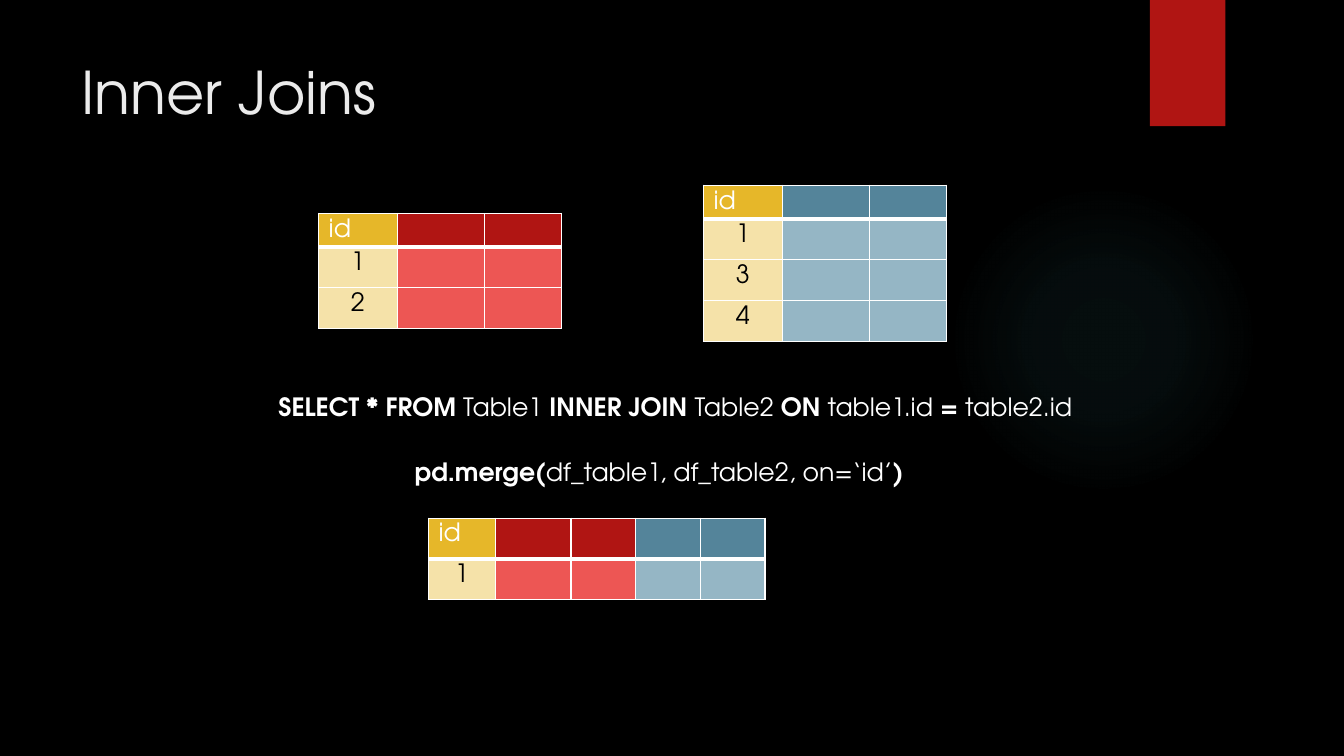
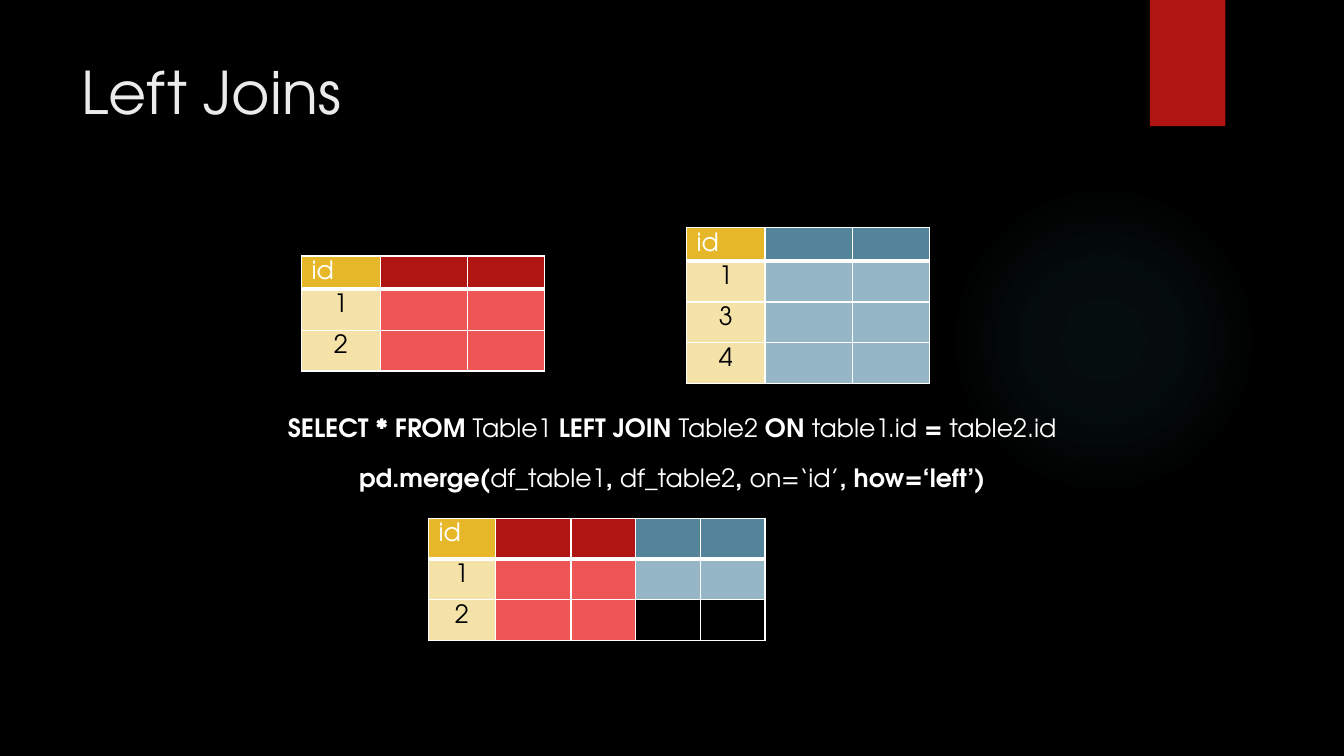
import pptx
import pptx.util
import pptx.dml.color
import pptx.enum.shapes
import pptx.enum.text
import pptx.oxml
import pptx.oxml.ns

Cm = pptx.util.Cm
Pt = pptx.util.Pt
RGB = pptx.dml.color.RGBColor
SHAPE = pptx.enum.shapes.MSO_SHAPE
ALIGN = pptx.enum.text.PP_ALIGN
FIT = pptx.enum.text.MSO_AUTO_SIZE
ANCHOR = pptx.enum.text.MSO_ANCHOR

FONT = "TeX Gyre Adventor"
BLACK = RGB(0x00, 0x00, 0x00)
WHITE = RGB(0xFF, 0xFF, 0xFF)
PALE = RGB(0xEB, 0xEB, 0xEB)
GOLD = RGB(0xE6, 0xB7, 0x29)
CREAM = RGB(0xF5, 0xE2, 0xA9)
RED = RGB(0xB0, 0x15, 0x13)
ROSE = RGB(0xED, 0x56, 0x54)
BLUE = RGB(0x54, 0x84, 0x9A)
SKY = RGB(0x95, 0xB6, 0xC5)
GLOW = RGB(0x50, 0xB9, 0xC1)
STOPS = [(0, 7), (36, 6), (69, 0)]

KEY = (GOLD, CREAM)
LEFT = (RED, ROSE)
RIGHT = (BLUE, SKY)
SIDE = [1.98, 2.21, 1.93]
WIDE = [1.68, 1.91, 1.63, 1.63, 1.63]
BODY = 1.03
GAP = 9.7
RISE = 0.71
JOINED = (10.8, 13.06)

SLIDES = [
    {
        "title": "Inner Joins",
        "start": (8.03, 5.38),
        "rows": ["1"],
        "lone": [],
        "lines": [
            (5.31, 9.73, ["SELECT * FROM", " Table1 ", "INNER JOIN ", "Table2 ",
                          "ON ", "table1.id ", "= ", "table2.id"]),
            (4.9, 11.38, ["pd.merge(", "df_table1, df_table2, on=‘id’", ")"]),
        ],
    },
    {
        "title": "Left Joins",
        "start": (7.6, 6.45),
        "rows": ["1", "2"],
        "lone": ["2"],
        "lines": [
            (5.23, 10.26, ["SELECT * FROM", " Table1 ", "LEFT JOIN ", "Table2 ",
                           "ON ", "table1.id ", "= ", "table2.id"]),
            (5.23, 11.53, ["pd.merge(", "df_table1", ", ", "df_table2", ", ",
                           "on=‘id’", ", how=‘left’)"]),
        ],
    },
]


def add_run(para, text, color, size=18, bold=False):
    run = para.add_run()
    run.text = text
    font = run.font
    font.name, font.size, font.bold = FONT, Pt(size), bold
    font.color.rgb = color


def add_glow(slide):
    glow = slide.shapes.add_shape(SHAPE.OVAL, Cm(23.9), Cm(4.65), Cm(7.82), Cm(7.82))
    stops = "".join(
        f'<a:gs pos="{pos * 1000}"><a:srgbClr val="{GLOW}">'
        f'<a:alpha val="{alpha * 1000}"/></a:srgbClr></a:gs>'
        for pos, alpha in STOPS)
    glow.element.spPr.append(pptx.oxml.parse_xml(
        f'<a:gradFill {pptx.oxml.ns.nsdecls("a")}><a:gsLst>{stops}</a:gsLst>'
        '<a:path path="circle"><a:fillToRect l="50000" t="50000" r="50000" b="50000"/>'
        '</a:path></a:gradFill>'))
    return glow


def add_flag(slide):
    flag = slide.shapes.add_shape(SHAPE.RECTANGLE, Cm(28.98), 0, Cm(1.9), Cm(3.18))
    flag.fill.solid()
    flag.fill.fore_color.rgb = RED
    return flag


def set_theme(layout, slide):
    fill = layout.background.fill
    fill.solid()
    fill.fore_color.rgb = BLACK
    for spot, part in enumerate([add_glow(slide), add_flag(slide)]):
        part.line.fill.background()
        part.shadow.inherit = False
        part.element.nvSpPr.cNvPr.id = 90 + spot
        layout.shapes.element.insert(2 + spot, part.element)


def set_title(slide, text):
    title = slide.shapes.title
    title.left, title.top, title.width, title.height = map(Cm, (1.8, 1.27, 26.14, 3.89))
    frame = title.text_frame
    frame.auto_size = FIT.NONE
    frame.vertical_anchor = ANCHOR.TOP
    para = frame.paragraphs[0]
    para.alignment = ALIGN.LEFT
    add_run(para, text, PALE, 42)


def add_line(slide, left, top, parts):
    box = slide.shapes.add_textbox(Cm(left), Cm(top), Cm(23.42), Cm(1.02))
    frame = box.text_frame
    frame.word_wrap = True
    frame.auto_size = FIT.SHAPE_TO_FIT_TEXT
    para = frame.paragraphs[0]
    para.alignment = ALIGN.CENTER
    for spot, text in enumerate(parts):
        add_run(para, text, WHITE, bold=spot % 2 == 0)


def set_edges(cell, head):
    props = cell._tc.get_or_add_tcPr()
    for side in "LRTB":
        width = Pt(3 if head and side == "B" else 1)
        props.append(pptx.oxml.parse_xml(
            f'<a:ln{side} {pptx.oxml.ns.nsdecls("a")} w="{width}">'
            f'<a:solidFill><a:srgbClr val="{WHITE}"/></a:solidFill></a:ln{side}>'))


def add_grid(slide, left, top, widths, hues, keys, high, lone=()):
    tall = high + BODY * len(keys)
    table = slide.shapes.add_table(
        len(keys) + 1, len(widths), Cm(left), Cm(top), Cm(sum(widths)), Cm(tall)).table
    table.first_row = table.horz_banding = False
    for col, width in zip(table.columns, widths):
        col.width = Cm(width)
    for y, text in enumerate(["id"] + keys):
        head = y == 0
        table.rows[y].height = Cm(high if head else BODY)
        for x, hue in enumerate(hues):
            cell = table.cell(y, x)
            set_edges(cell, head)
            if text in lone and hue == RIGHT:
                cell.fill.background()
            else:
                cell.fill.solid()
                cell.fill.fore_color.rgb = hue[0 if head else 1]
            if x == 0:
                para = cell.text_frame.paragraphs[0]
                para.alignment = ALIGN.LEFT if head else ALIGN.CENTER
                add_run(para, text, WHITE if head else BLACK)
            else:
                cell.margin_top = 0
            if x or head:
                cell.margin_bottom = 0


def main():
    deck = pptx.Presentation()
    deck.slide_width, deck.slide_height = Cm(33.87), Cm(19.05)
    layout = deck.slide_layouts[5]
    for spot, data in enumerate(SLIDES):
        slide = deck.slides.add_slide(layout)
        if spot == 0:
            set_theme(layout, slide)
        set_title(slide, data["title"])
        left, top = data["start"]
        add_grid(slide, left, top, SIDE, [KEY, LEFT, LEFT], ["1", "2"], 0.84)
        add_grid(slide, left + GAP, top - RISE, SIDE, [KEY, RIGHT, RIGHT],
                 ["1", "3", "4"], 0.84)
        for line in data["lines"]:
            add_line(slide, *line)
        add_grid(slide, *JOINED, WIDE, [KEY, LEFT, LEFT, RIGHT, RIGHT],
                 data["rows"], 1.02, data["lone"])
    deck.save("out.pptx")


if __name__ == "__main__":
    main()
